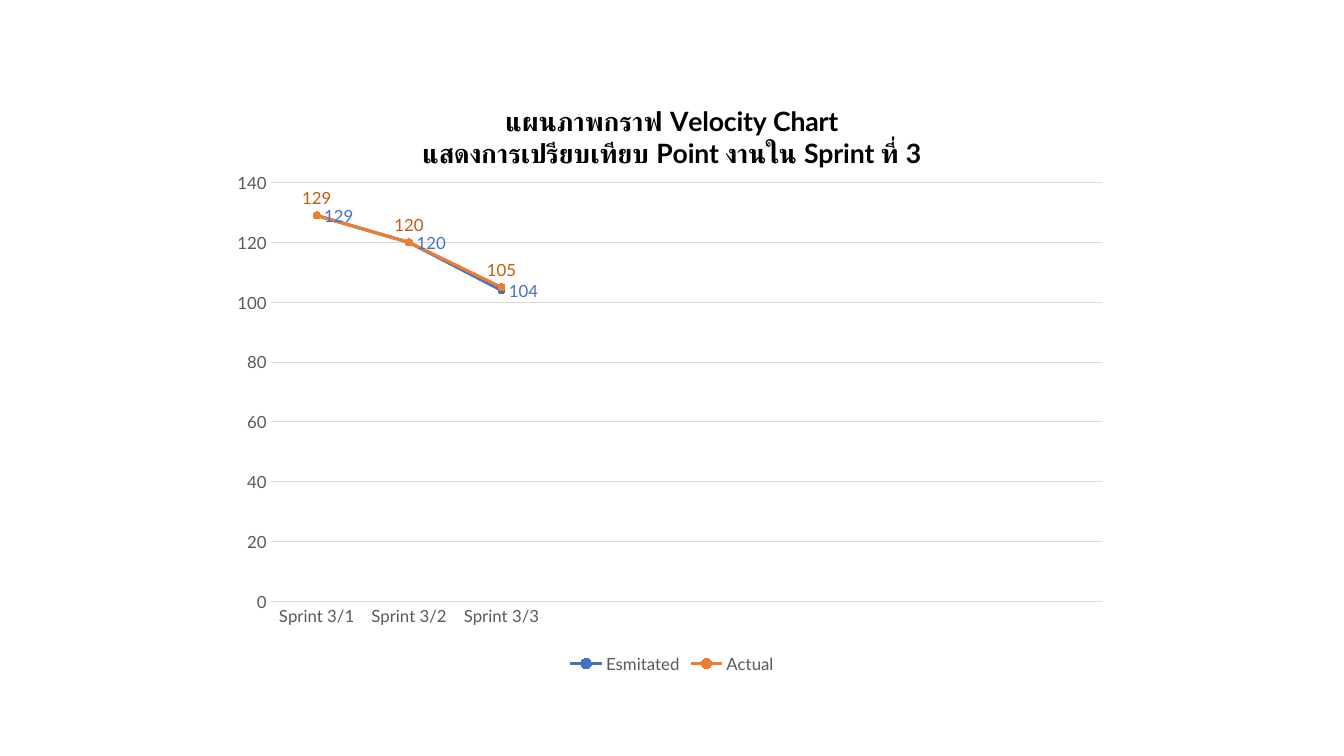
from lxml import etree
from pptx import Presentation
from pptx.chart.data import CategoryChartData
from pptx.dml.color import RGBColor
from pptx.enum import chart as ch
from pptx.oxml import ns
from pptx.util import Pt

FONT = "Lato"
BLACK = RGBColor(0x00, 0x00, 0x00)
GREY = RGBColor(0x59, 0x59, 0x59)
RULE = RGBColor(0xD9, 0xD9, 0xD9)
BLUE = RGBColor(0x44, 0x72, 0xC4)
ORANGE = RGBColor(0xED, 0x7D, 0x31)
RUST = RGBColor(0xC5, 0x5A, 0x11)

TITLE = ["แผนภาพกราฟ Velocity Chart",
         "แสดงการเปรียบเทียบ Point งานใน Sprint ที่ 3"]
SLOTS = 9
SPRINTS = ["Sprint 3/1", "Sprint 3/2", "Sprint 3/3"]
# Name, points, line colour, label colour, label position
SERIES = [
    ("Esmitated", [129, 120, 104], BLUE, BLUE, ch.XL_LABEL_POSITION.RIGHT),
    ("Actual", [129, 120, 105], ORANGE, RUST, ch.XL_LABEL_POSITION.ABOVE),
]


def set_font(font, size, color, bold=False):
    """Apply the deck font with a size, colour and weight."""
    font.name, font.size, font.bold = FONT, Pt(size), bold
    font.color.rgb = color


def set_line(line, color, width):
    """Give a line a solid colour and a width."""
    line.color.rgb = color
    line.width = Pt(width)


def set_layout(parent, before, **values):
    """Place a chart part by fractions of the chart area."""
    for old in parent.findall(ns.qn("c:layout")):
        parent.remove(old)
    layout = etree.Element(ns.qn("c:layout"))
    manual = etree.SubElement(layout, ns.qn("c:manualLayout"))
    for tag, value in values.items():
        etree.SubElement(manual, ns.qn("c:" + tag)).set("val", str(value))
    parent.find(ns.qn(before)).addprevious(layout)


def add_velocity_chart(s):
    """Add the line chart and return it."""
    data = CategoryChartData()
    data.categories = SPRINTS + [""] * (SLOTS - len(SPRINTS))
    for name, points, *_ in SERIES:
        data.add_series(name, points + [None] * (SLOTS - len(points)))
    frame = s.shapes.add_chart(ch.XL_CHART_TYPE.LINE_MARKERS, Pt(160), Pt(57),
                               Pt(640), Pt(427), data)
    chart = frame.chart
    set_font(chart.font, 10, BLACK)
    plot = chart.plots[0]
    plot.vary_by_categories = False
    set_layout(plot._element.getparent(), "c:lineChart", layoutTarget="inner",
               xMode="edge", yMode="edge", x=0.052, y=0.172, w=0.928, h=0.701)
    return chart


def format_title(chart):
    """Write the two-line chart title."""
    tf = chart.chart_title.text_frame
    for i, line in enumerate(TITLE):
        p = tf.add_paragraph() if i else tf.paragraphs[0]
        r = p.add_run()
        r.text = line
        set_font(r.font, 19, BLACK, True)
    chart.chart_title.include_in_layout = False
    set_layout(chart.chart_title._element, "c:overlay",
               xMode="edge", yMode="edge", x=0.218, y=0.035)


def format_axes(chart):
    """Style both axes, the gridlines and the legend."""
    for axis in (chart.category_axis, chart.value_axis):
        axis.major_tick_mark = axis.minor_tick_mark = ch.XL_TICK_MARK.NONE
        set_font(axis.tick_labels.font, 12, GREY)
    set_line(chart.category_axis.format.line, RULE, 0.75)
    values = chart.value_axis
    values.minimum_scale, values.maximum_scale, values.major_unit = 0, 140, 20
    values.format.line.fill.background()
    set_line(values.major_gridlines.format.line, RULE, 0.75)
    chart.has_legend = True
    chart.legend.position = ch.XL_LEGEND_POSITION.BOTTOM
    chart.legend.include_in_layout = False
    set_font(chart.legend.font, 12, GREY)


def format_series(series, color, label_color, position):
    """Style one line with its markers and value labels."""
    series.smooth = False
    set_line(series.format.line, color, 2.25)
    marker = series.marker
    marker.style, marker.size = ch.XL_MARKER_STYLE.CIRCLE, 5
    marker.format.fill.solid()
    marker.format.fill.fore_color.rgb = color
    set_line(marker.format.line, color, 0.75)
    labels = series.data_labels
    labels.show_value = True
    labels.position = position
    set_font(labels.font, 12, label_color)


def main():
    """Build the velocity slide."""
    prs = Presentation()
    prs.slide_width, prs.slide_height = Pt(960), Pt(540)
    s = prs.slides.add_slide(prs.slide_layouts[6])
    chart = add_velocity_chart(s)
    format_title(chart)
    format_axes(chart)
    for series, (_, _, *style) in zip(chart.plots[0].series, SERIES):
        format_series(series, *style)
    prs.save("out.pptx")


main()
